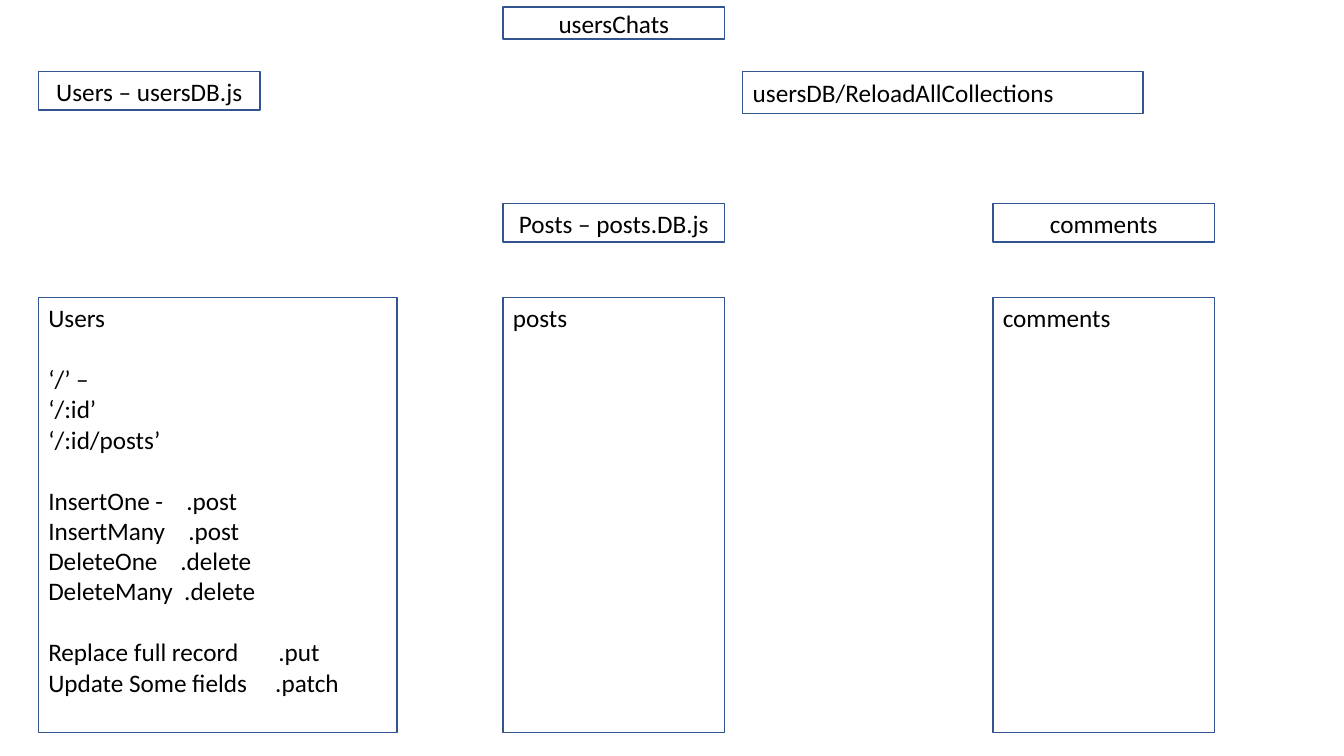
from dataclasses import dataclass

from lxml.etree import SubElement
from pptx import Presentation
from pptx.dml.color import RGBColor
from pptx.enum.shapes import MSO_SHAPE as Shape
from pptx.enum.text import MSO_ANCHOR as Anchor, PP_ALIGN as Align
from pptx.oxml.ns import qn
from pptx.util import Pt


@dataclass(frozen=True)
class Theme:
    font: str = "Calibri"
    size: float = 18
    text: RGBColor = RGBColor(0, 0, 0)
    outline: RGBColor = RGBColor(0x32, 0x54, 0x91)
    outline_width: float = 1
    group_gap: float = 22


def write(para, text, theme, align=Align.LEFT, before=0, tab=None):
    if tab:
        stops = SubElement(para._p.get_or_add_pPr(), qn("a:tabLst"))
        SubElement(stops, qn("a:tab"), pos=str(Pt(tab)), algn="l")
    para.alignment = align
    if before:
        para.space_before = Pt(before)
    span = para.add_run()
    span.text = text
    span.font.name = theme.font
    span.font.size = Pt(theme.size)
    span.font.color.rgb = theme.text


class Painter:
    def __init__(self, page, theme):
        self.page = page
        self.theme = theme

    def frame(self, left, top, width, height, anchor):
        box = self.page.shapes.add_shape(
            Shape.RECTANGLE, Pt(left), Pt(top), Pt(width), Pt(height))
        box.shadow.inherit = False
        box.fill.background()
        box.line.color.rgb = self.theme.outline
        box.line.width = Pt(self.theme.outline_width)
        box.text_frame.word_wrap = True
        box.text_frame.vertical_anchor = anchor
        return box.text_frame

    def label(self, text, left, top, width, height,
              align=Align.CENTER, anchor=Anchor.TOP):
        frame = self.frame(left, top, width, height, anchor)
        write(frame.paragraphs[0], text, self.theme, align=align)

    def panel(self, groups, left, top, width, height):
        frame = self.frame(left, top, width, height, Anchor.TOP)
        para = frame.paragraphs[0]
        for group_index, group in enumerate(groups):
            for line_index, (text, tab) in enumerate(group):
                if group_index or line_index:
                    para = frame.add_paragraph()
                starts_group = group_index and not line_index
                write(para, text, self.theme, tab=tab,
                      before=self.theme.group_gap if starts_group else 0)


USERS_X, POSTS_X, COMMENTS_X, RELOAD_X = 27.4, 359.3, 709.2, 530.6
CHATS_Y, USERS_Y, LABEL_Y, PANEL_Y = 5, 51.1, 145.4, 212.4
COLUMN_WIDTH, LABEL_HEIGHT, PANEL_HEIGHT = 158.4, 27.4, 311

USER_ROUTES = [
    [("Users", None)],
    [("‘/’ –", None), ("‘/:id’", None), ("‘/:id/posts’", None)],
    [("InsertOne -\t.post", 98.6), ("InsertMany\t.post", 100),
     ("DeleteOne\t.delete", 94.3), ("DeleteMany\t.delete", 97.1)],
    [("Replace full record\t.put", 164.3), ("Update Some fields\t.patch", 162.1)],
]


def main():
    deck = Presentation()
    deck.slide_width, deck.slide_height = Pt(960), Pt(540)
    page = deck.slides.add_slide(deck.slide_layouts[6])
    painter = Painter(page, Theme())

    painter.label("usersChats", POSTS_X, CHATS_Y, COLUMN_WIDTH, 23,
                  anchor=Anchor.MIDDLE)
    for text, left, top in [("Users – usersDB.js", USERS_X, USERS_Y),
                            ("Posts – posts.DB.js", POSTS_X, LABEL_Y),
                            ("comments", COMMENTS_X, LABEL_Y)]:
        painter.label(text, left, top, COLUMN_WIDTH, LABEL_HEIGHT)

    for groups, left, width in [
            (USER_ROUTES, USERS_X, 256.3),
            ([[("posts", None)]], POSTS_X, COLUMN_WIDTH),
            ([[("comments", None)]], COMMENTS_X, COLUMN_WIDTH)]:
        painter.panel(groups, left, PANEL_Y, width, PANEL_HEIGHT)

    painter.label("usersDB/ReloadAllCollections", RELOAD_X, USERS_Y, 285.8, 30.2,
                  align=Align.LEFT, anchor=Anchor.MIDDLE)
    deck.save("out.pptx")


if __name__ == "__main__":
    main()
